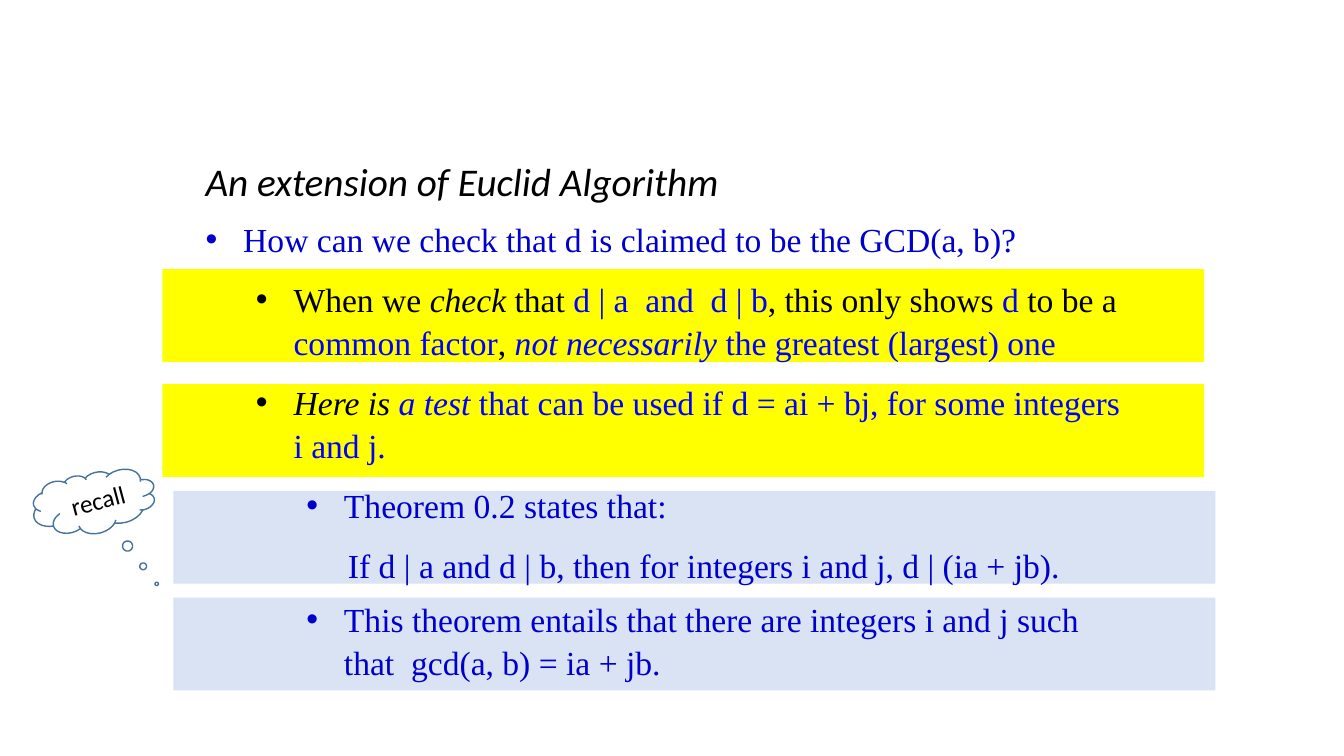
from dataclasses import dataclass

from lxml.etree import SubElement
from pptx import Presentation
from pptx.dml.color import RGBColor
from pptx.enum.shapes import MSO_SHAPE as Preset
from pptx.enum.text import MSO_ANCHOR as Anchor, MSO_AUTO_SIZE as AutoSize, PP_ALIGN as Align
from pptx.oxml.ns import qn
from pptx.util import Cm, Pt


@dataclass(frozen=True)
class Theme:
    black: str = "000000"
    white: str = "FFFFFF"
    navy: str = "0000CC"
    blue: str = "0000FF"
    yellow: str = "FFFF00"
    pale_blue: str = "DAE3F3"
    cloud_line: str = "43739E"
    heading_font: str = "Calibri"
    body_font: str = "Times New Roman"
    heading_size: int = 28
    body_size: int = 24
    cloud_size: int = 18


THEME = Theme()
HANG = 0.95
LEVEL_STEP = 1.27
THEOREM_INDENT = 3.59

STATEMENTS = [
    (0, 12, [("How can we check that d is claimed to be the GCD(a, b)?", THEME.navy, False)]),
    (1, 12, [
        ("When we ", THEME.black, False),
        ("check", THEME.black, True),
        (" that ", THEME.black, False),
        ("d | a  and  d | b", THEME.blue, False),
        (", this only shows ", THEME.black, False),
        ("d", THEME.blue, False),
        (" to be a ", THEME.black, False),
        ("common factor", THEME.blue, False),
        (", ", THEME.black, False),
        ("not necessarily ", THEME.blue, True),
        ("the greatest (largest) one", THEME.blue, False),
    ]),
    (1, 12, [
        ("Here is ", THEME.black, True),
        ("a test ", THEME.blue, True),
        ("that can be used if d = ai + bj, for some integers i and j.", THEME.blue, False),
    ]),
    (2, 12, [("Theorem 0.2 states that:", THEME.navy, False)]),
    (None, 8, [("If d | a and d | b, then for integers i and j, d | (ia + jb).", THEME.navy, False)]),
    (2, 8, [("This theorem entails that there are integers i and j such that  gcd(a, b) = ia + jb.",
             THEME.navy, False)]),
]


def add_run(paragraph, text, font_name, size, color, italic=False):
    run = paragraph.add_run()
    run.text = text
    run.font.name = font_name
    run.font.size = Pt(size)
    run.font.italic = italic
    run.font.color.rgb = RGBColor.from_string(color)


def add_filled(slide, preset, box, color):
    shape = slide.shapes.add_shape(preset, *(Cm(length) for length in box))
    shape.shadow.inherit = False
    shape.fill.solid()
    shape.fill.fore_color.rgb = RGBColor.from_string(color)
    shape.line.fill.background()
    return shape


def add_band_pair(slide, box, step, color):
    left, top, width, height = box
    for row in range(2):
        add_filled(slide, Preset.RECTANGLE, (left, top + row * step, width, height), color)


def set_indent(paragraph, level):
    properties = paragraph._p.get_or_add_pPr()
    if level is None:
        properties.set("marL", str(Cm(THEOREM_INDENT)))
        properties.set("indent", "0")
        return
    paragraph.level = level
    properties.set("marL", str(Cm(HANG + level * LEVEL_STEP)))
    properties.set("indent", str(-Cm(HANG)))
    SubElement(properties, qn("a:buFont")).set("typeface", "Arial")
    SubElement(properties, qn("a:buChar")).set("char", "•")


def add_argument(slide, box):
    frame = slide.shapes.add_textbox(*(Cm(length) for length in box)).text_frame
    frame.word_wrap = True
    frame.auto_size = AutoSize.SHAPE_TO_FIT_TEXT
    heading = frame.paragraphs[0]
    heading.line_spacing = 1.07
    heading.space_after = Pt(8)
    add_run(heading, "An extension of Euclid Algorithm", THEME.heading_font,
            THEME.heading_size, THEME.black, True)
    for level, space_after, runs in STATEMENTS:
        paragraph = frame.add_paragraph()
        paragraph.line_spacing = 1.07
        paragraph.space_after = Pt(space_after)
        set_indent(paragraph, level)
        for text, color, italic in runs:
            add_run(paragraph, text, THEME.body_font, THEME.body_size, color, italic)


def add_recall_cloud(slide, box):
    cloud = add_filled(slide, Preset.CLOUD_CALLOUT, box, THEME.white)
    cloud.line.color.rgb = RGBColor.from_string(THEME.cloud_line)
    cloud.line.width = Pt(1)
    cloud.adjustments[0] = -0.32
    cloud.adjustments[1] = 1.54
    cloud.rotation = 345.1
    cloud.element.spPr.find(qn("a:xfrm")).set("flipH", "1")
    frame = cloud.text_frame
    frame.vertical_anchor = Anchor.MIDDLE
    paragraph = frame.paragraphs[0]
    paragraph.alignment = Align.CENTER
    add_run(paragraph, "recall", THEME.heading_font, THEME.cloud_size, THEME.black)


def main():
    presentation = Presentation()
    presentation.slide_width = Cm(33.87)
    presentation.slide_height = Cm(19.05)
    slide = presentation.slides.add_slide(presentation.slide_layouts[6])
    add_band_pair(slide, (4.37, 12.37, 26.26, 2.34), 2.69, THEME.pale_blue)
    add_band_pair(slide, (4.09, 6.78, 26.26, 2.34), 2.9, THEME.yellow)
    add_argument(slide, (4.93, 3.76, 23.9, 13.64))
    add_recall_cloud(slide, (0.81, 11.89, 3.12, 1.55))
    presentation.save("out.pptx")


if __name__ == "__main__":
    main()
